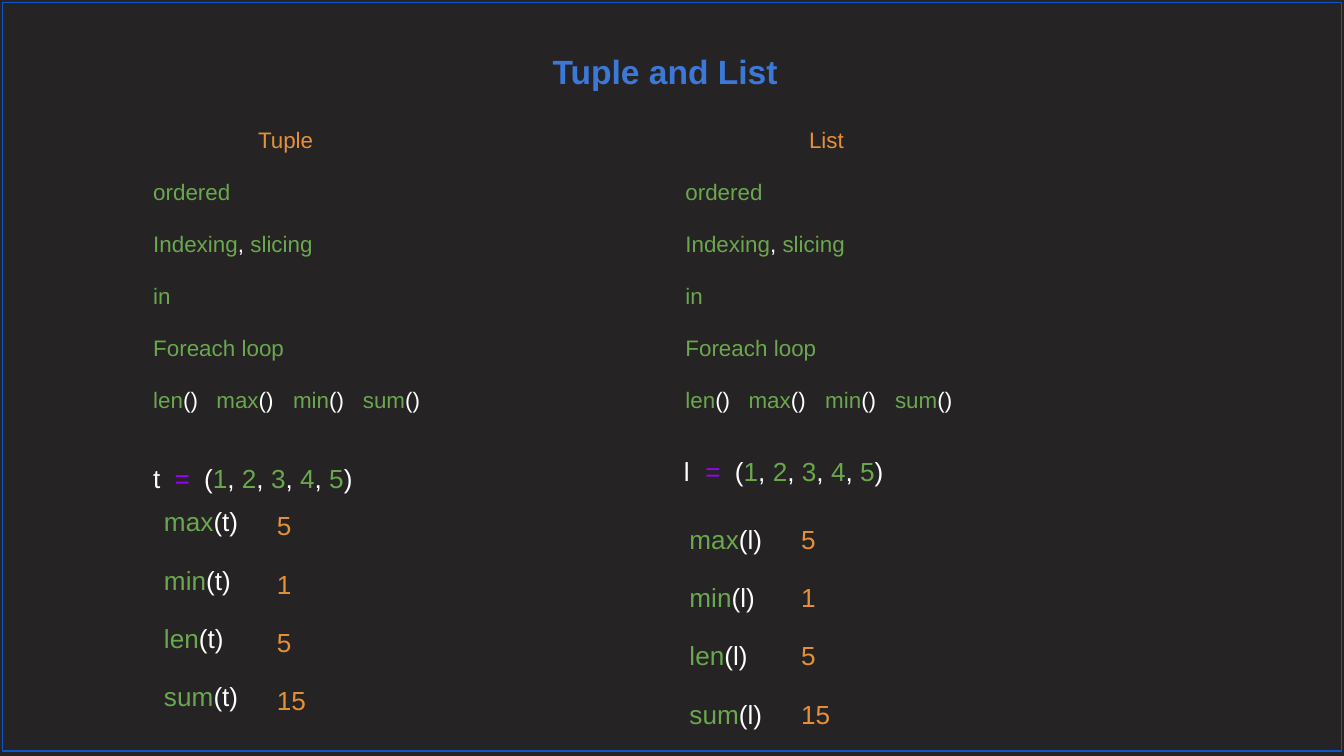
from dataclasses import dataclass
from itertools import groupby

from lxml.etree import SubElement
from pptx import Presentation
from pptx.dml.color import RGBColor
from pptx.enum.shapes import MSO_SHAPE
from pptx.enum.text import MSO_ANCHOR, MSO_AUTO_SIZE, PP_ALIGN
from pptx.oxml.ns import qn
from pptx.util import Inches, Pt


@dataclass(frozen=True)
class Theme:
    font: str = "Arial"
    back: str = "252323"
    title: str = "3C78D8"
    frame: str = "1155CC"
    accent: str = "E69138"
    name: str = "6AA84F"
    plain: str = "FFFFFF"
    operator: str = "9900FF"
    title_size: int = 18
    body_size: int = 12
    code_size: int = 14


THEME = Theme()
NO_GRID_STYLE = "{2D5ABB26-0587-4C30-8999-92F81FD0307C}"
PAD = 0.1
FEATURES = ["ordered", "Indexing, slicing", "in", "Foreach loop",
            "len()\tmax()\tmin()\tsum()"]
FEATURE_TABS = [0.47, 1.04, 1.56]
EQUATION_TABS = [0.16, 0.38]
RESULTS = {"max": 5, "min": 1, "len": 5, "sum": 15}


def set_margins(box):
    box.margin_left = box.margin_right = Inches(PAD)
    box.margin_top = box.margin_bottom = Inches(PAD)


def add_run(p, text, size, color, bold=False):
    r = p.add_run()
    r.text = text
    r.font.name = THEME.font
    r.font.size = Pt(size)
    r.font.bold = bold
    r.font.color.rgb = RGBColor.from_string(color)


def char_kind(char):
    if char.isalnum():
        return "word"
    return "operator" if char == "=" else "mark"


def add_code(p, text, size):
    for kind, chars in groupby(text, char_kind):
        token = "".join(chars)
        variable = len(token) == 1 and token.isalpha()
        color = THEME.plain
        if kind == "operator":
            color = THEME.operator
        elif kind == "word" and not variable:
            color = THEME.name
        add_run(p, token, size, color)


def set_tabs(p, stops):
    tabs = SubElement(p._p.get_or_add_pPr(), qn("a:tabLst"))
    for stop in stops:
        SubElement(tabs, qn("a:tab"), pos=str(Inches(stop)), algn="l")


def add_title(s, text):
    sp = s.shapes.title
    sp.left, sp.top = Inches(-0.05), Inches(0.28)
    sp.width, sp.height = Inches(10), Inches(0.63)
    tf = sp.text_frame
    set_margins(tf)
    tf.auto_size = MSO_AUTO_SIZE.NONE
    tf.vertical_anchor = MSO_ANCHOR.TOP
    p = tf.paragraphs[0]
    p.alignment = PP_ALIGN.CENTER
    add_run(p, text, THEME.title_size, THEME.title, bold=True)


def add_grid(s, left, top, rows, cols, col_width, row_height):
    frame = s.shapes.add_table(rows, cols, Inches(left), Inches(top),
                               Inches(cols * col_width),
                               Inches(rows * row_height))
    table = frame.table
    table.first_row = table.horz_banding = False
    table._tbl.tblPr.find(qn("a:tableStyleId")).text = NO_GRID_STYLE
    for row in table.rows:
        row.height = Inches(row_height)
    for cell in table.iter_cells():
        set_margins(cell)
        cell.fill.background()
    return table


def add_features(s):
    table = add_grid(s, 1.04, 0.85, len(FEATURES) + 1, 2, 3.96, 0.37)
    for col, (heading, indent) in enumerate([("Tuple", 0.88), ("List", 1.02)]):
        cell = table.cell(0, col)
        cell.margin_left = Inches(indent)
        add_run(cell.text_frame.paragraphs[0], heading, THEME.body_size,
                THEME.accent)
        for row, feature in enumerate(FEATURES, 1):
            p = table.cell(row, col).text_frame.paragraphs[0]
            if "\t" in feature:
                set_tabs(p, FEATURE_TABS)
            add_code(p, feature, THEME.body_size)


def add_equation(s, left, top, variable):
    sp = s.shapes.add_textbox(Inches(left), Inches(top), Inches(1.75),
                              Inches(0.44))
    tf = sp.text_frame
    tf.word_wrap = True
    set_margins(tf)
    p = tf.paragraphs[0]
    set_tabs(p, EQUATION_TABS)
    add_code(p, f"{variable}\t=\t(1, 2, 3, 4, 5)", THEME.code_size)


def add_column(s, left, top):
    table = add_grid(s, left, top, len(RESULTS), 1, 0.84, 0.43)
    return [cell.text_frame.paragraphs[0] for cell in table.iter_cells()]


def add_values(s, left, top):
    for p, value in zip(add_column(s, left, top), RESULTS.values()):
        add_run(p, str(value), THEME.code_size, THEME.accent)


def add_calls(s, left, top, variable):
    for p, function in zip(add_column(s, left, top), RESULTS):
        add_code(p, f"{function}({variable})", THEME.code_size)


def add_frame(s):
    sp = s.shapes.add_shape(MSO_SHAPE.RECTANGLE, Inches(0.02), Inches(0.02),
                            Inches(9.96), Inches(5.57))
    sp.shadow.inherit = False
    sp.fill.background()
    sp.line.color.rgb = RGBColor.from_string(THEME.frame)
    sp.line.width = Pt(0.75)


def main():
    prs = Presentation()
    prs.slide_width = Inches(10)
    prs.slide_height = prs.slide_width * 9 // 16
    s = prs.slides.add_slide(prs.slide_layouts[5])
    s.background.fill.solid()
    s.background.fill.fore_color.rgb = RGBColor.from_string(THEME.back)
    add_title(s, "Tuple and List")
    add_features(s)
    add_equation(s, 1.04, 3.34, "t")
    add_equation(s, 4.99, 3.29, "l")
    add_values(s, 1.96, 3.71)
    add_values(s, 5.86, 3.81)
    add_calls(s, 1.12, 3.68, "t")
    add_calls(s, 5.03, 3.81, "l")
    add_frame(s)
    prs.save("out.pptx")


if __name__ == "__main__":
    main()
